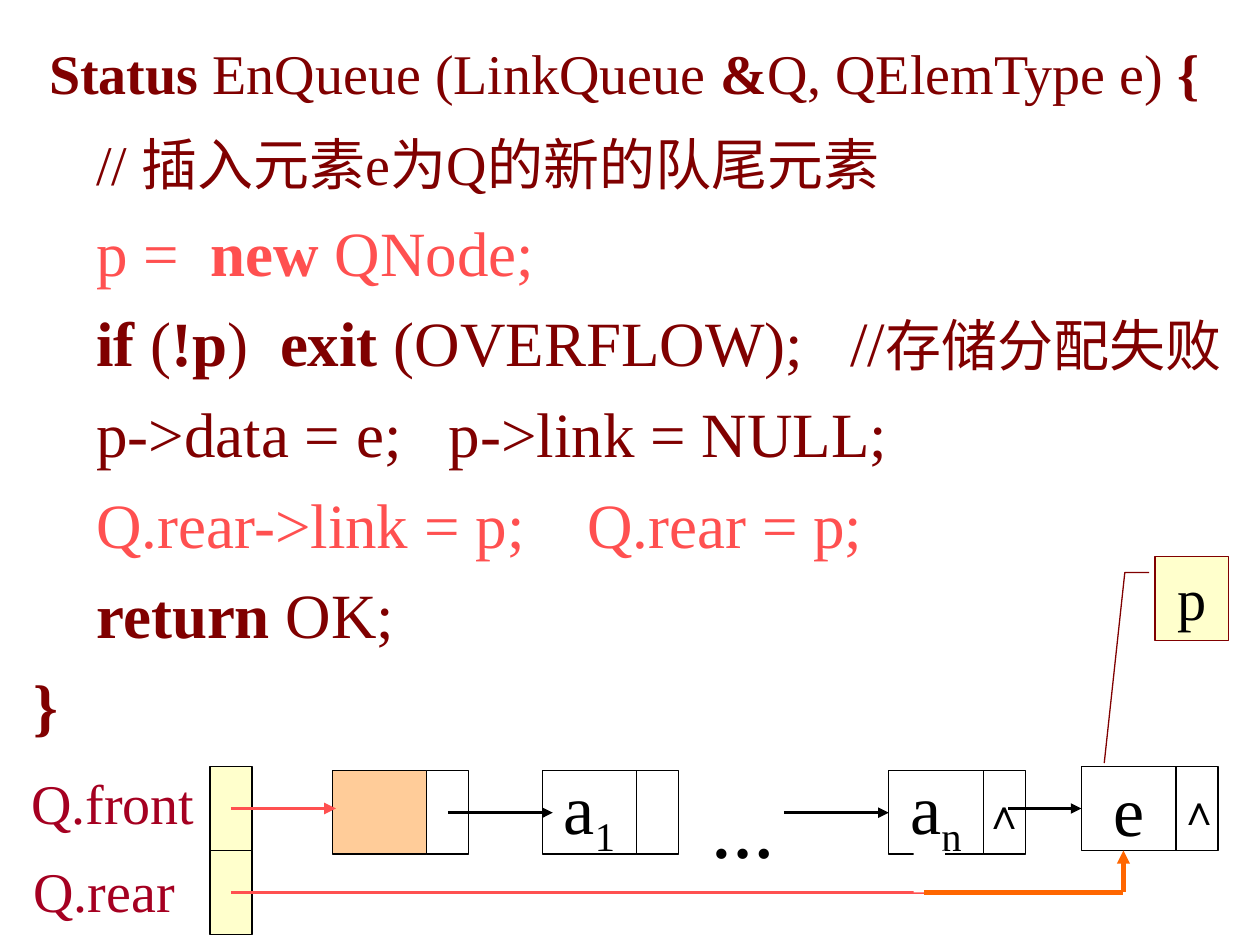
from dataclasses import dataclass

from lxml.etree import SubElement
from pptx import Presentation
from pptx.dml.color import RGBColor
from pptx.enum.shapes import MSO_CONNECTOR, MSO_SHAPE
from pptx.enum.text import MSO_ANCHOR, MSO_AUTO_SIZE, PP_ALIGN
from pptx.oxml.ns import qn
from pptx.util import Inches, Pt


@dataclass(frozen=True)
class Theme:
    font: str = "Times New Roman"
    code: str = "800000"
    accent: str = "FF5050"
    label: str = "A50021"
    ink: str = "000000"
    paper: str = "FFFFFF"
    pointer: str = "FFFFCC"
    head: str = "FFCC99"
    new_link: str = "FF6600"
    code_size: float = 36
    small_size: float = 32
    node_size: float = 40
    mark_size: float = 24
    callout_size: float = 33.3
    border: float = 0.75
    link: float = 2
    pointer_link: float = 2.25
    rear_link: float = 2.5


THEME = Theme()
WIDTH, HEIGHT = Inches(10), Inches(7.5)
COLUMNS = 120  # square grid, 120 columns by 90 rows
DATA, LINK, CELL_H = 9, 4, 8
POINTER_X, POINTER_Y = 20, 73
NODE_Y = 73.35
LINK_Y, REAR_Y = 77.4, 85
FRONT_Y = POINTER_Y + CELL_H / 2
HEAD_X, FIRST_X, LAST_X, NEW_X = 31.65, 51.65, 84.65, 103
NEW_MID = NEW_X + LINK

# Each piece is (text, style): "b" is bold, "s" is the smaller size.
CODE = [
    (THEME.code, [(" ", ""), ("Status", "bs"), (" EnQueue (LinkQueue ", "s"), ("&", "bs"),
                  ("Q, QElemType e) ", "s"), ("{", "bs")]),
    (THEME.code, [("    ", ""), ("// 插入元素e为Q的新的队尾元素", "s")]),
    (THEME.accent, [("    p =  ", ""), ("new", "b"), (" QNode;", "")]),
    (THEME.code, [("    ", ""), ("if", "b"), (" (", ""), ("!p", "b"), (")  ", ""),
                  ("exit ", "b"), ("(OVERFLOW);   //", ""), ("存储分配失败", "s")]),
    (THEME.code, [("    p->data = e;   p->link = NULL;", "")]),
    (THEME.accent, [("    Q.rear->link = p;    Q.rear = p;", "")]),
    (THEME.code, [("    ", ""), ("return", "b"), (" OK;", "")]),
    (THEME.code, [("}", "b")]),
]


def grid(*cells):
    return [int(cell * WIDTH / COLUMNS) for cell in cells]


def rgb(value):
    return RGBColor.from_string(value)


def style_run(run, size, color, bold=False):
    run.font.name = THEME.font
    run.font.size = Pt(size)
    run.font.color.rgb = rgb(color)
    run.font.bold = bold


def add_text_frame(slide, box):
    frame = slide.shapes.add_textbox(*grid(*box)).text_frame
    frame.word_wrap = True
    frame.auto_size = MSO_AUTO_SIZE.NONE
    return frame


def add_label(slide, box, text, size, color, bold=False, spacing=None):
    frame = add_text_frame(slide, box)
    frame.text = text
    paragraph = frame.paragraphs[0]
    if spacing:
        paragraph.line_spacing = spacing
    style_run(paragraph.runs[0], size, color, bold)


def add_code(slide, box):
    frame = add_text_frame(slide, box)
    for index, (color, pieces) in enumerate(CODE):
        line = frame.add_paragraph() if index else frame.paragraphs[0]
        line.line_spacing = 1.2
        for text, style in pieces:
            run = line.add_run()
            run.text = text
            size = THEME.small_size if "s" in style else THEME.code_size
            style_run(run, size, color, "b" in style)


def add_cell(slide, box, fill=None, border=THEME.ink, text="", size=THEME.node_size,
             subscript="", preset=MSO_SHAPE.RECTANGLE):
    cell = slide.shapes.add_shape(preset, *grid(*box))
    cell.shadow.inherit = False
    if fill:
        cell.fill.solid()
        cell.fill.fore_color.rgb = rgb(fill)
    else:
        cell.fill.background()
    if border:
        cell.line.color.rgb = rgb(border)
        cell.line.width = Pt(THEME.border)
    else:
        cell.line.fill.background()
    if text:
        frame = cell.text_frame
        frame.word_wrap = False
        frame.vertical_anchor = MSO_ANCHOR.MIDDLE
        frame.text = text
        paragraph = frame.paragraphs[0]
        paragraph.alignment = PP_ALIGN.CENTER
        if subscript:
            lowered = paragraph.add_run()
            lowered.text = subscript
            lowered._r.get_or_add_rPr().set("baseline", "-25000")
        for run in paragraph.runs:
            style_run(run, size, THEME.ink)
    return cell


def add_node(slide, left, top, text="", subscript="", link="", fill=None):
    """Draw a list node: a link cell and, to its left, a data cell."""
    add_cell(slide, (left + DATA, top, LINK, CELL_H), text=link, size=THEME.mark_size)
    add_cell(slide, (left, top, DATA, CELL_H), fill, text=text, subscript=subscript)


def add_link(slide, start, end, color=THEME.ink, width=THEME.link, arrow=True):
    link = slide.shapes.add_connector(MSO_CONNECTOR.STRAIGHT, *grid(*start, *end))
    link.line.color.rgb = rgb(color)
    link.line.width = Pt(width)
    if arrow:
        SubElement(link.line._get_or_add_ln(), qn("a:tailEnd"), type="triangle")
    SubElement(link._element.spPr, qn("a:effectLst"))


def add_queue(slide):
    add_node(slide, HEAD_X, NODE_Y, fill=THEME.head)
    add_node(slide, FIRST_X, NODE_Y, "a", "1")
    add_node(slide, LAST_X, NODE_Y, "a", "n", link="∧")
    for end in (FIRST_X + 1, LAST_X):
        add_link(slide, (end - 10, LINK_Y), (end, LINK_Y))
    add_label(slide, (66.6, 75.2, 7.6, 8.4), "…", THEME.code_size, THEME.ink, bold=True)


def add_pointers(slide):
    for row in range(2):
        add_cell(slide, (POINTER_X, POINTER_Y + row * CELL_H, LINK, CELL_H), THEME.pointer)
    for y, end in ((FRONT_Y, 32), (REAR_Y, 88)):
        add_link(slide, (POINTER_X + LINK / 2, y), (end, y), THEME.accent,
                 THEME.pointer_link, arrow=y == FRONT_Y)
    add_label(slide, (1.8, 72, 19, 8.3), "Q.front", THEME.small_size, THEME.label, spacing=1.1)
    add_label(slide, (2, 81, 18, 7.7), "Q.rear", THEME.small_size, THEME.label)


def add_new_node(slide):
    add_label(slide, (111.1, 74, 6, 6), "∧", THEME.mark_size, THEME.ink)
    add_node(slide, NEW_X, POINTER_Y, "e")
    callout = add_cell(slide, (110, 53, 7, CELL_H), THEME.pointer, THEME.code, "p",
                       THEME.callout_size, preset=MSO_SHAPE.LINE_CALLOUT_2)
    callout.text_frame.vertical_anchor = MSO_ANCHOR.TOP
    for index, share in enumerate((0.19, -0.08, 0.19, -0.41, 2.46, -0.69)):
        callout.adjustments[index] = share
    add_link(slide, (96, FRONT_Y), (NEW_X, FRONT_Y))
    # White patch where the previous rear link ended
    add_cell(slide, (87, POINTER_Y + CELL_H, 3, LINK), THEME.paper, border=None)
    add_link(slide, (88, REAR_Y), (NEW_MID, REAR_Y), THEME.new_link, THEME.rear_link, arrow=False)
    add_link(slide, (NEW_MID, REAR_Y), (NEW_MID, POINTER_Y + CELL_H), THEME.new_link,
             THEME.rear_link)


def main():
    deck = Presentation()
    deck.slide_width, deck.slide_height = WIDTH, HEIGHT
    slide = deck.slides.add_slide(deck.slide_layouts[6])
    add_code(slide, (2, 1, 117, 70.3))
    add_queue(slide)
    add_pointers(slide)
    add_new_node(slide)
    deck.save("out.pptx")


if __name__ == "__main__":
    main()
